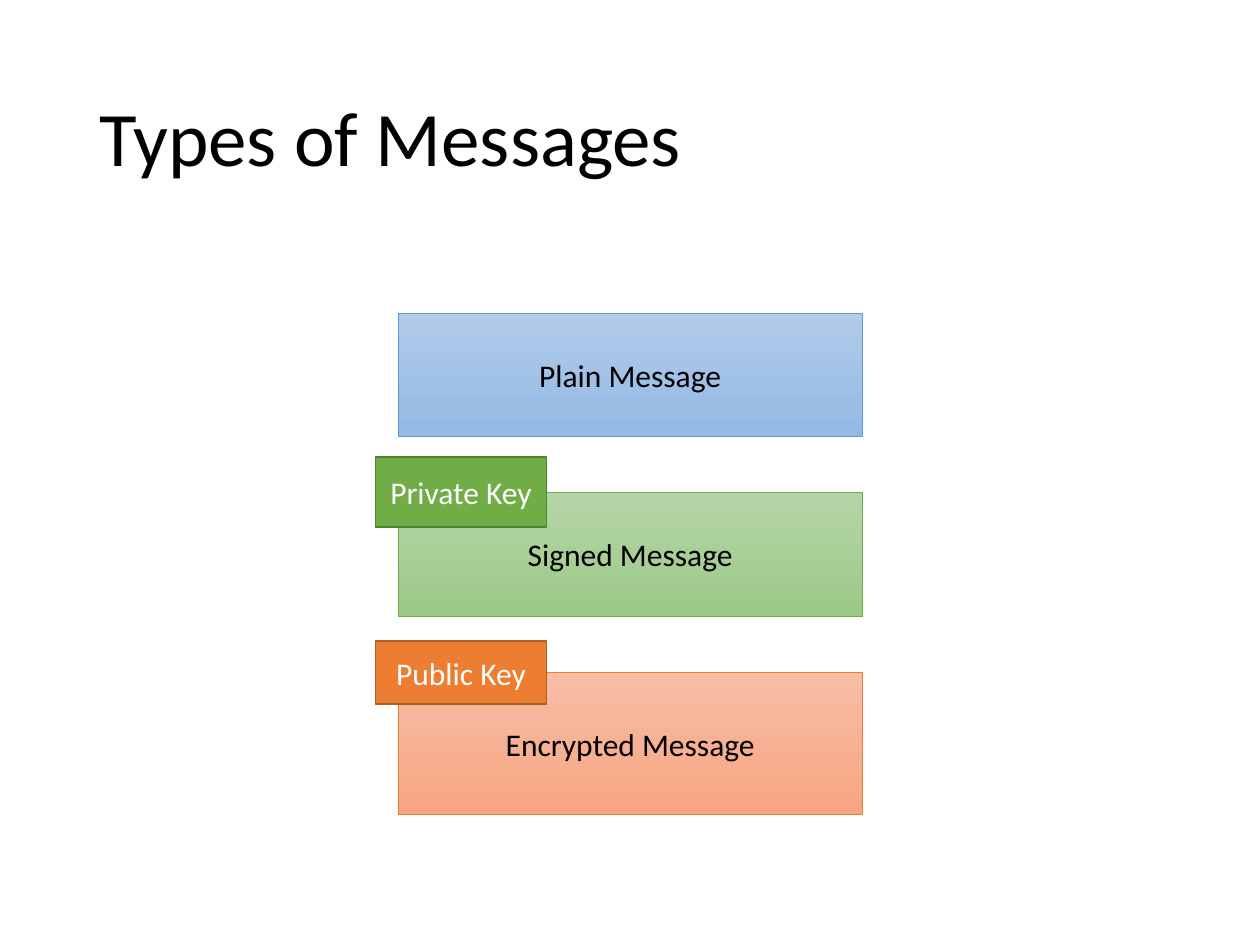
from dataclasses import dataclass

from pptx import Presentation
from pptx import util as u
from pptx.dml.color import RGBColor
from pptx.enum import shapes, text


@dataclass(frozen=True)
class Theme:
    font: str = "Calibri"
    title_size: int = 44
    label_size: int = 18
    dark: str = "000000"
    light: str = "FFFFFF"
    message_line: float = 0.5
    key_line: float = 1
    plain: tuple = ("B1CBE9", "93B9E4", "5B9BD5")
    signed: tuple = ("B5D5A7", "9CC987", "70AD47")
    encrypted: tuple = ("F7BDA5", "F8A582", "ED7D31")
    private_edge: str = "538035"
    public_edge: str = "AF5C24"


@dataclass(frozen=True)
class Box:
    left: float
    top: float
    width: float
    height: float

    def lengths(self):
        return [u.Cm(side) for side in (self.left, self.top, self.width, self.height)]


THEME = Theme()
KEY_OVERHANG = 0.46
KEY_WIDTH = 3.45


def write(shape, wording, size, color, align):
    frame = shape.text_frame
    frame.text = wording
    frame.word_wrap = True
    frame.vertical_anchor = text.MSO_ANCHOR.MIDDLE
    para = frame.paragraphs[0]
    para.alignment = align
    font = para.runs[0].font
    font.name = THEME.font
    font.size = u.Pt(size)
    font.color.rgb = RGBColor.from_string(color)
    return para


def add_title(page, box, wording):
    title = page.shapes.title
    title.left, title.top, title.width, title.height = box.lengths()
    para = write(title, wording, THEME.title_size, THEME.dark, text.PP_ALIGN.LEFT)
    para.line_spacing = 0.9


def add_block(page, box, wording, color, edge, weight):
    block = page.shapes.add_shape(shapes.MSO_SHAPE.RECTANGLE, *box.lengths())
    block.shadow.inherit = False
    block.line.color.rgb = RGBColor.from_string(edge)
    block.line.width = u.Pt(weight)
    write(block, wording, THEME.label_size, color, text.PP_ALIGN.CENTER)
    return block


def add_message(page, box, wording, palette):
    *shades, edge = palette
    message = add_block(page, box, wording, THEME.dark, edge, THEME.message_line)
    message.fill.gradient()
    message.fill.gradient_angle = 270
    for stop, shade in zip(message.fill.gradient_stops, shades):
        stop.color.rgb = RGBColor.from_string(shade)
        stop.position = shades.index(shade)


def add_key(page, message_box, rise, height, wording, color, edge):
    box = Box(message_box.left - KEY_OVERHANG, message_box.top - rise, KEY_WIDTH, height)
    key = add_block(page, box, wording, THEME.light, edge, THEME.key_line)
    key.fill.solid()
    key.fill.fore_color.rgb = RGBColor.from_string(color)


def add_message_stack(page, box):
    plain = Box(box.left, box.top, box.width, 2.49)
    signed = Box(box.left, box.top + 3.61, box.width, 2.49)
    encrypted = Box(box.left, box.top + 7.24, box.width, box.height - 7.24)
    add_message(page, plain, "Plain Message", THEME.plain)
    add_message(page, signed, "Signed Message", THEME.signed)
    add_message(page, encrypted, "Encrypted Message", THEME.encrypted)
    add_key(page, signed, 0.71, 1.4, "Private Key", THEME.signed[-1], THEME.private_edge)
    add_key(page, encrypted, 0.63, 1.27, "Public Key", THEME.encrypted[-1], THEME.public_edge)


def main():
    deck = Presentation()
    deck.slide_width, deck.slide_height = u.Cm(25.4), u.Cm(19.05)
    page = deck.slides.add_slide(deck.slide_layouts.get_by_name("Title Only"))
    add_title(page, Box(1.75, 1.02, 21.9, 3.68), "Types of Messages")
    add_message_stack(page, Box(8.03, 6.32, 9.35, 10.11))
    deck.save("out.pptx")


if __name__ == "__main__":
    main()
